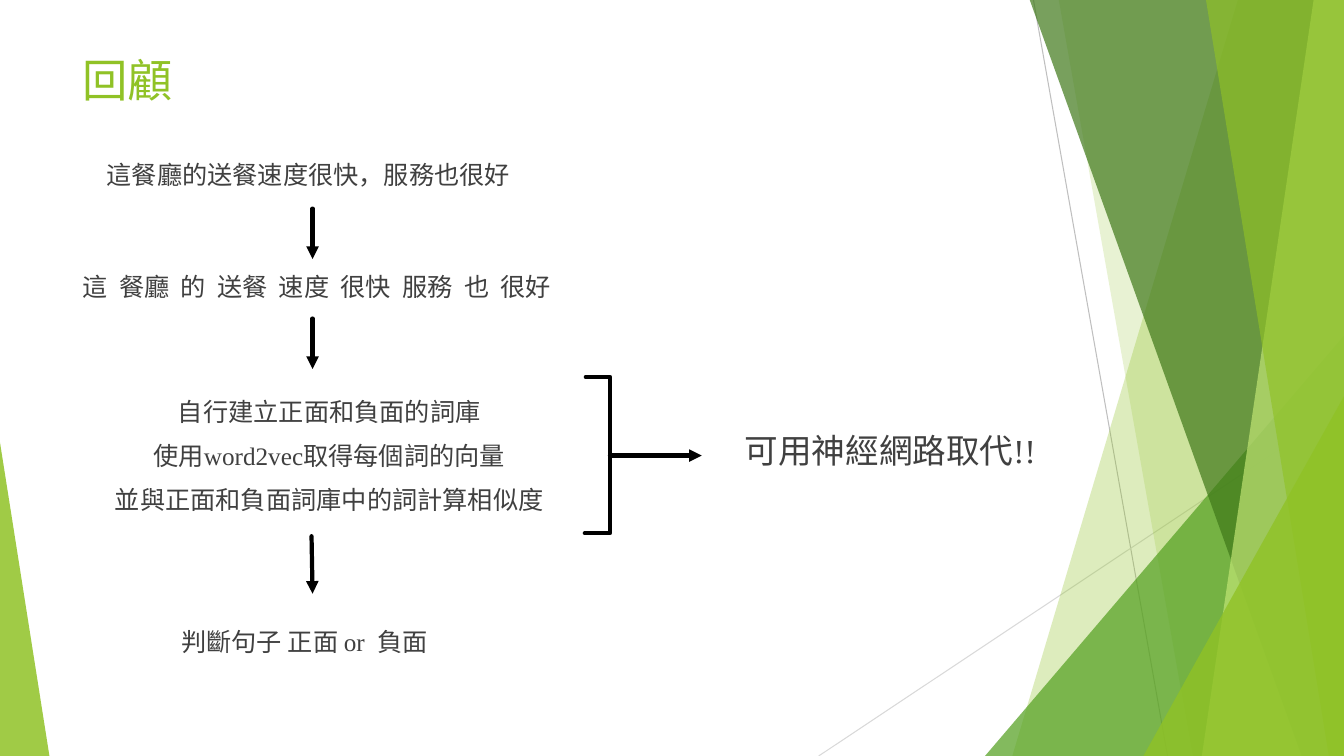
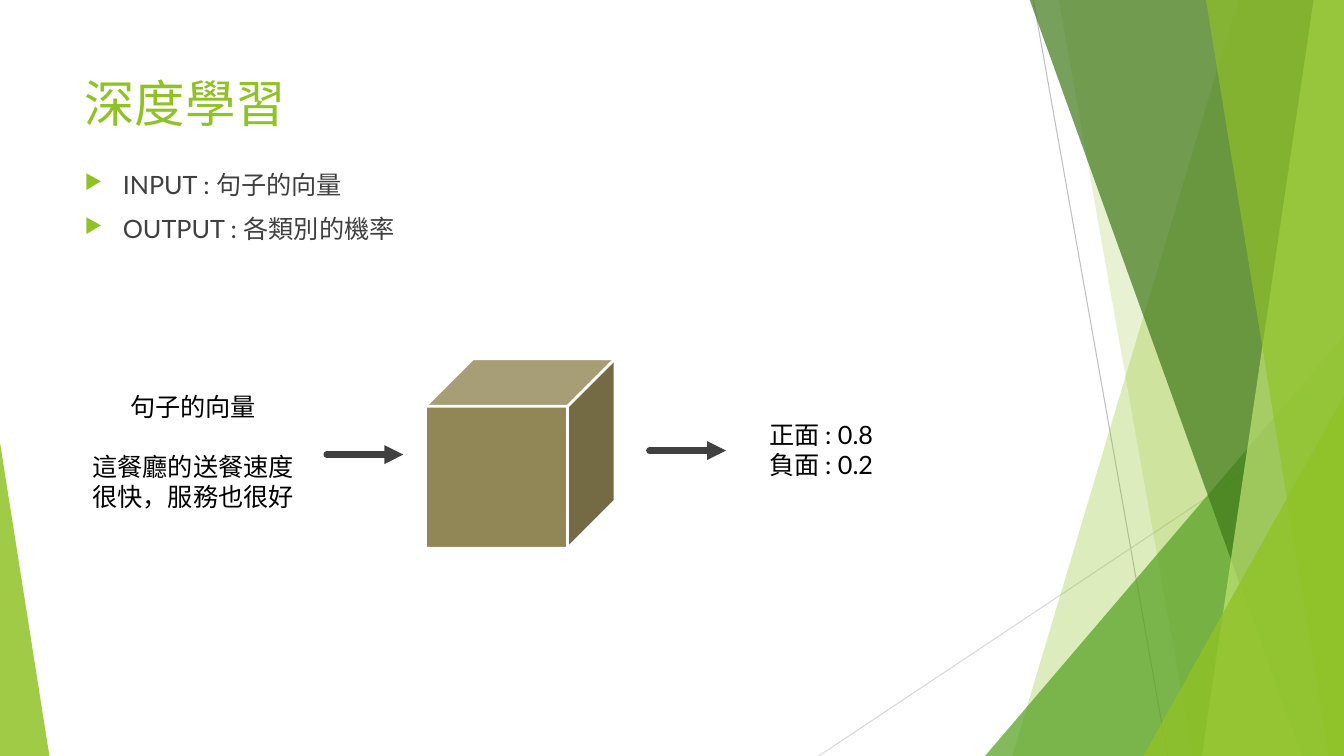
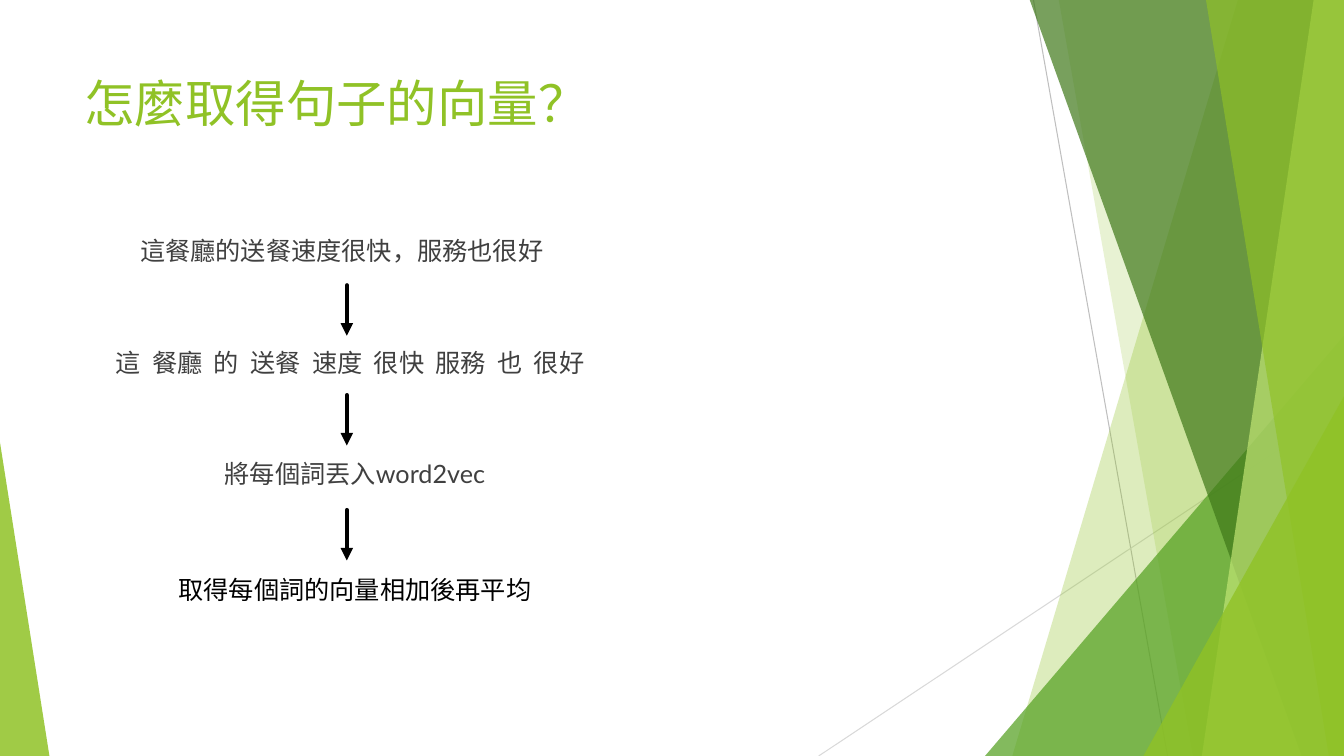
"""Build three slides on turning a restaurant review into a sentiment."""
import pptx
import pptx.dml.color
import pptx.enum.dml
import pptx.enum.shapes
import pptx.enum.text
import pptx.oxml
import pptx.oxml.ns
import pptx.util

Inches = pptx.util.Inches
Pt = pptx.util.Pt
MSO_SHAPE = pptx.enum.shapes.MSO_SHAPE
CENTER = pptx.enum.text.PP_ALIGN.CENTER

WIDTH, HEIGHT = 13.33, 7.5
GREEN, GRAY, BLACK, WHITE, OLIVE = "90C226", "404040", "000000", "FFFFFF", "918655"
LATO, TIMES = "Lato", "Times New Roman"

HAIRLINES = [((10.25, 0), (11.58, HEIGHT), "BFBFBF"), ((WIDTH, 4.03), (8.12, HEIGHT), "D9D9D9")]
FACETS = [
    ("band", (12.28, 10.04), GREEN, 30),
    ("band", (10.5, 11.83), GREEN, 20),
    ("corner", (9.77, 3.33, 3.56, 1), "54A021", 72),
    ("band", (10.21, 12.91), "3F7819", 70),
    ("band", (13.03, 11.92), "C0E474", 70),
    ("band", (11.96, 13.18), GREEN, 65),
    ("corner", (11.34, 3.93, 1.99, 1), GREEN, 80),
    ("corner", (0, 4.39, 0.49, 0), GREEN, 85),
]

REVIEW = "這餐廳的送餐速度很快，服務也很好"
WORDS = "  ".join(["這", "餐廳", "的", "送餐", "速度", "很快", "服務", "也", "很好"])
SCORING = [
    ("自行建立正面和負面的詞庫", TIMES),
    ("使用word2vec取得每個詞的向量", TIMES),
    ("並與正面和負面詞庫中的詞計算相似度", LATO),
]
INPUT_OUTPUT = [("INPUT : 句子的向量", LATO), ("OUTPUT : 各類別的機率", LATO)]
SENTENCE = [("句子的向量", LATO), (REVIEW, TIMES)]
PROBABILITIES = [("正面 : 0.8", LATO), ("負面 : 0.2", LATO)]

REVIEW_ARROWS = [((3.1, 2.07), (3.1, 2.57)), ((3.1, 3.16), (3.1, 3.66)), ((3.09, 5.32), (3.1, 5.89))]
VECTOR_ARROWS = [((3.44, top), (3.44, top + 0.5)) for top in (2.83, 3.92, 5.06)]
MODEL_ARROWS = [((left, y), (left + 0.76, y)) for left, y in ((3.24, 4.51), (6.44, 4.47))]
BRACKET = [(5.8, 5.29), (6.05, 5.29), (6.05, 3.74), (5.81, 3.74)]


def color(value):
    return pptx.dml.color.RGBColor.from_string(value)


def add_xml(parent, tag, **attributes):
    child = pptx.oxml.parse_xml(f"<a:{tag} {pptx.oxml.ns.nsdecls('a')}/>")
    for name, value in attributes.items():
        child.set(name, str(value))
    parent.append(child)
    return child


def add_text(slide, text, box, size=18, font=TIMES, fill=GRAY, align=None, before=10,
             bullet=False, wrap=True):
    shape = slide.shapes.add_textbox(*map(Inches, box))
    frame = shape.text_frame
    frame.word_wrap = wrap
    lines = [(text, font)] if isinstance(text, str) else text
    for index, (line, face) in enumerate(lines):
        paragraph = frame.paragraphs[0] if index == 0 else frame.add_paragraph()
        paragraph.alignment = align
        paragraph.space_before = Pt(before if index or bullet or before == 10 else 0)
        if bullet:
            add_bullet(paragraph)
        run = paragraph.add_run()
        run.text = line
        run.font.size, run.font.name = Pt(size), face
        run.font.color.rgb = color(fill)
    return shape


def add_bullet(paragraph):
    properties = paragraph._p.get_or_add_pPr()
    properties.set("marL", str(Inches(0.38)))
    properties.set("indent", str(Inches(-0.38)))
    add_xml(add_xml(properties, "buClr"), "srgbClr", val=GREEN)
    add_xml(properties, "buSzPct", val=80000)
    add_xml(properties, "buChar", char="▶")


def add_line(slide, start, end, stroke=BLACK, width=3, arrow=True):
    line = slide.shapes.add_connector(
        pptx.enum.shapes.MSO_CONNECTOR.STRAIGHT, *map(Inches, start + end))
    line.line.color.rgb = color(stroke)
    line.line.width = Pt(width)
    if arrow:
        outline = line.line._get_or_add_ln()
        outline.set("cap", "rnd")
        add_xml(outline, "round")
        add_xml(outline, "tailEnd", type="triangle")
    add_xml(line._element.spPr, "effectLst")
    return line


def add_path(slide, points, close):
    first, *rest = [tuple(map(Inches, point)) for point in points]
    builder = slide.shapes.build_freeform(*first)
    builder.add_line_segments(rest, close=close)
    shape = builder.convert_to_shape()
    shape.shadow.inherit = False
    return shape


def add_facet(slide, kind, place, fill, opacity):
    if kind == "band":
        top_x, bottom_x = place
        corners = [(top_x, -0.01), (WIDTH, -0.01), (WIDTH, HEIGHT), (bottom_x, HEIGHT)]
        facet = add_path(slide, corners, True)
    else:
        left, top, width, apex = place
        facet = slide.shapes.add_shape(
            MSO_SHAPE.ISOSCELES_TRIANGLE, *map(Inches, (left, top, width, HEIGHT - top)))
        facet.adjustments[0] = apex
        facet.shadow.inherit = False
    facet.fill.solid()
    facet.fill.fore_color.rgb = color(fill)
    facet.line.fill.background()
    tint = facet._element.spPr.find(".//" + pptx.oxml.ns.qn("a:srgbClr"))
    add_xml(tint, "alpha", val=opacity * 1000)
    return facet


def add_background(slide, layout):
    decoration = [add_line(slide, start, end, stroke, 0.75, arrow=False)
                  for start, end, stroke in HAIRLINES]
    decoration += [add_facet(slide, *facet) for facet in FACETS]
    for shape in decoration:
        layout.shapes.element.append(shape._element)


def add_title(slide, text, box=(0.74, 0.67, 9.4, 1.44), size=36):
    add_text(slide, text, box, size=size, font=LATO, fill=GREEN, before=0)


def add_arrows(slide, arrows, **style):
    for start, end in arrows:
        add_line(slide, start, end, **style)


def build_review(slide):
    add_title(slide, "回顧", (0.72, 0.47, 9.4, 0.64), 32.4)
    add_text(slide, REVIEW, (0.96, 1.53, 5.09, 0.44))
    add_text(slide, WORDS, (0.72, 2.64, 5.09, 0.44))
    add_text(slide, SCORING, (0.72, 3.88, 5.09, 1.36), align=CENTER)
    add_text(slide, "判斷句子 正面 or  負面", (1.7, 6.16, 2.78, 0.44))
    add_arrows(slide, REVIEW_ARROWS)
    bracket = add_path(slide, BRACKET, False)
    bracket.fill.background()
    bracket.line.color.rgb = color(BLACK)
    bracket.line.width = Pt(3)
    bracket.line._get_or_add_ln().set("cap", "rnd")
    add_line(slide, (6.05, 4.52), (6.96, 4.52))
    add_text(slide, "可用神經網路取代!!", (6.96, 4.22, 3.74, 0.6), size=24, align=CENTER)


def build_model(slide):
    add_title(slide, "深度學習")
    add_text(slide, INPUT_OUTPUT, (0.74, 1.63, 9.4, 4.98), bullet=True)
    cube = slide.shapes.add_shape(MSO_SHAPE.CUBE, *map(Inches, (4.22, 3.56, 1.88, 1.88)))
    cube.shadow.inherit = False
    cube.fill.solid()
    cube.fill.fore_color.rgb = color(OLIVE)
    cube.line.color.rgb = color(WHITE)
    cube.line.width = Pt(2)
    add_text(slide, SENTENCE, (0.8, 3.83, 2.23, 1.62), fill=BLACK, align=CENTER, before=21.5)
    add_arrows(slide, MODEL_ARROWS, stroke=GRAY, width=4.5)
    add_text(slide, PROBABILITIES, (7.53, 4.11, 1.31, 0.71), fill=BLACK, before=0, wrap=False)


def build_vector(slide):
    add_title(slide, "怎麼取得句子的向量？")
    add_text(slide, REVIEW, (1.29, 2.29, 5.09, 0.44))
    add_text(slide, WORDS, (1.05, 3.4, 5.09, 0.44))
    add_text(slide, "將每個詞丟入word2vec", (1.68, 4.5, 3.68, 0.41), font=LATO, align=CENTER)
    add_text(slide, "取得每個詞的向量相加後再平均", (1.65, 5.65, 3.74, 0.4), font=LATO,
             fill=BLACK, align=CENTER, before=0, wrap=False)
    add_arrows(slide, VECTOR_ARROWS)


presentation = pptx.Presentation()
presentation.slide_width, presentation.slide_height = Inches(WIDTH), Inches(HEIGHT)
blank = presentation.slide_layouts[6]
for number, build in enumerate((build_review, build_model, build_vector)):
    page = presentation.slides.add_slide(blank)
    if number == 0:
        add_background(page, blank)
    build(page)
presentation.save("out.pptx")
